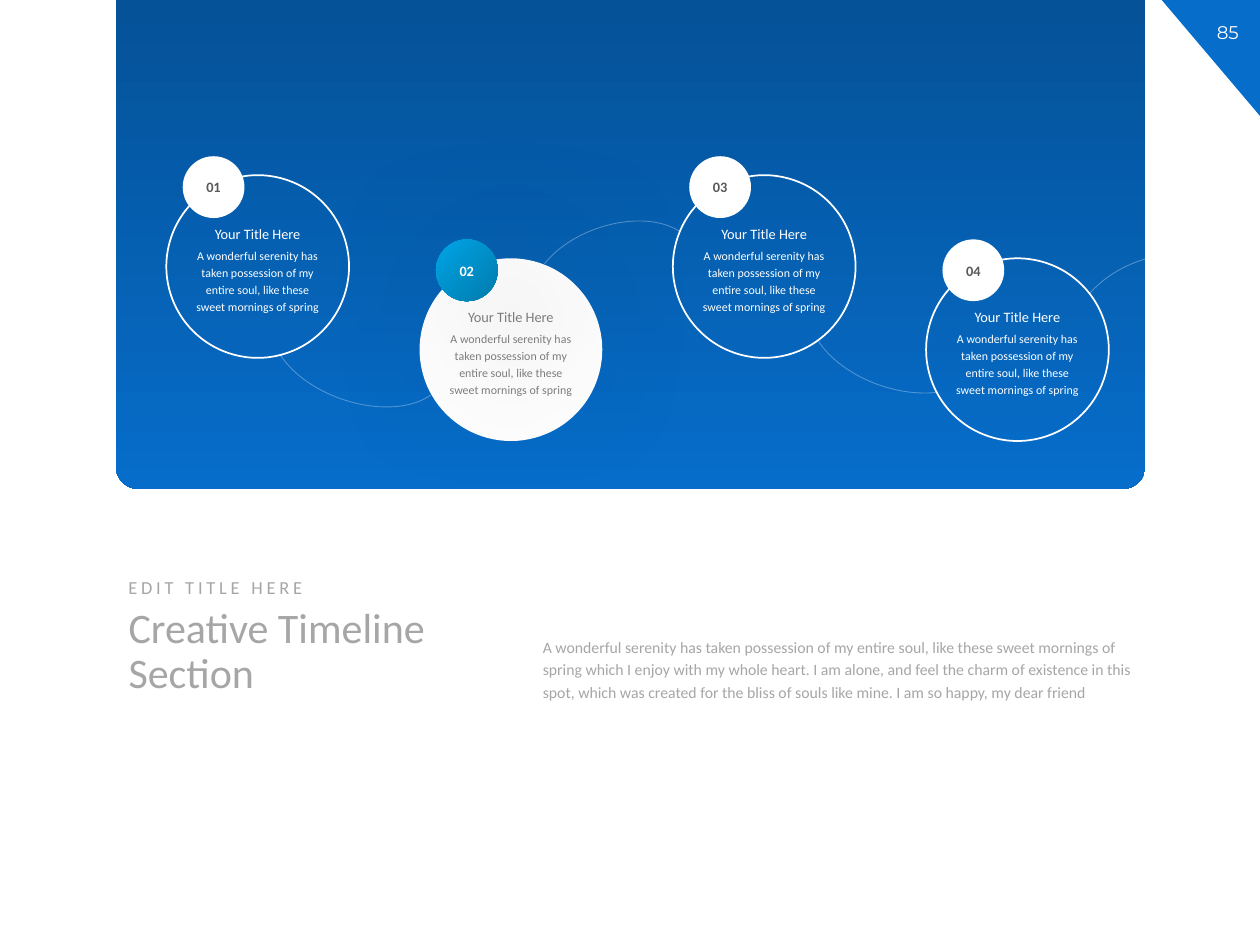
"""Build a timeline slide with four numbered circles above a title and summary."""
from lxml.etree import SubElement
from pptx import Presentation
from pptx.dml.color import RGBColor
from pptx.enum.shapes import MSO_SHAPE as Shape
from pptx.enum.text import MSO_ANCHOR as Anchor, MSO_AUTO_SIZE as AutoSize, PP_ALIGN as Align
from pptx.oxml import parse_xml
from pptx.oxml.ns import nsdecls, qn
from pptx.util import Inches, Pt


def write(box, text, size, color, align=Align.LEFT, spacing=1.0, anchor=Anchor.TOP, font="Calibri"):
    frame = box.text_frame
    frame.word_wrap = True
    frame.auto_size = AutoSize.NONE
    frame.vertical_anchor = anchor
    frame.text = text
    para = frame.paragraphs[0]
    para.alignment = align
    para.line_spacing = spacing
    span = para.runs[0]
    span.font.name = font
    span.font.size = Pt(size)
    span.font.color.rgb = RGBColor.from_string(color)
    return span


def draw(kind, place, fill=None, line=None, width=1, angle=0):
    shape = page.shapes.add_shape(kind, *map(Inches, place))
    shape.shadow.inherit = False
    if isinstance(fill, list):
        shape.fill.gradient()
        shape.fill.gradient_angle = angle
        for stop, (position, color) in zip(shape.fill.gradient_stops, fill):
            stop.position = position
            stop.color.rgb = RGBColor.from_string(color)
    elif fill:
        shape.fill.solid()
        shape.fill.fore_color.rgb = RGBColor.from_string(fill)
    else:
        shape.fill.background()
    if line:
        shape.line.color.rgb = RGBColor.from_string(line)
        shape.line.width = Pt(width)
    else:
        shape.line.fill.background()
    return shape


deck = Presentation()
deck.slide_width, deck.slide_height = Inches(10), Inches(7.5)
page = deck.slides.add_slide(deck.slide_layouts[5])

corner = draw(Shape.RIGHT_TRIANGLE, (9.22, 0, 0.78, 0.92), "066DCA")
corner.rotation = 180
number = page.shapes.add_textbox(*map(Inches, (9.49, 0.12, 0.51, 0.28)))
write(number, "85", 10.5, "FFFFFF", Align.CENTER, font="Montserrat")

panel = draw(Shape.ROUND_2_SAME_RECTANGLE, (0.92, 0, 8.17, 3.88),
             [(0.01, "055298"), (1, "066DCA")], angle=270)
panel.adjustments[0], panel.adjustments[1] = 0, 0.046

step_text = ("A wonderful serenity has taken possession of my entire soul, "
             "like these sweet mornings of spring")
for index in range(4):
    active = index == 1
    left = 1.32 + 2.01 * index
    top = 2.05 if index % 2 else 1.39
    color = "808080" if active else "FFFFFF"
    if active:
        draw(Shape.OVAL, (left, top, 1.45, 1.45), "FFFFFF")
    else:
        draw(Shape.OVAL, (left, top, 1.45, 1.45), line="FFFFFF")
    heading = page.shapes.add_textbox(*map(Inches, (left, top + 0.35, 1.45, 0.24)))
    write(heading, "Your Title Here", 8.2, color, Align.CENTER)
    body = page.shapes.add_textbox(*map(Inches, (left + 0.11, top + 0.51, 1.23, 0.65)))
    write(body, step_text, 6.8, color, Align.CENTER, 1.2)
    badge_fill = [(0.02, "00A4E6"), (1, "007BAC")] if active else "FFFFFF"
    badge = draw(Shape.OVAL, (left + 0.13, top - 0.15, 0.49, 0.49), badge_fill, angle=315)
    badge.text_frame.margin_left = badge.text_frame.margin_right = 0
    label = write(badge, f"{index + 1:02d}", 8.2, "FFFFFF" if active else "595959",
                  Align.CENTER, anchor=Anchor.MIDDLE)
    label.font.bold = True
    if active:
        effects = badge._element.spPr.find(qn("a:effectLst"))
        effects.append(parse_xml(
            f'<a:outerShdw {nsdecls("a")} blurRad="{Pt(100)}" dist="{Pt(35)}" dir="2700000" '
            'algn="tl" rotWithShape="0"><a:srgbClr val="000000"><a:alpha val="40000"/>'
            '</a:srgbClr></a:outerShdw>'))

arcs = [
    ((2.13, 2.32, 1.44, 0.87), 19.5, True, (123.32, 207.44)),
    ((4.2, 1.79, 1.35, 0.83), 340.6, False, (126.45, 206.55)),
    ((6.4, 2.21, 1.44, 0.87), 19.5, True, (123.32, 193.87)),
    ((8.47, 2.02, 1.69, 1.36), 348.8, False, (132.35, 199.67)),
]
for place, rotation, flipped, (start, end) in arcs:
    arc = draw(Shape.ARC, place, line="FFFFFF", width=0.5)
    arc.adjustments[0], arc.adjustments[1] = start, end
    arc.rotation = rotation
    if flipped:
        arc._element.spPr.find(qn("a:xfrm")).set("flipV", "1")
    line_color = arc._element.spPr.find(qn("a:ln")).find(".//" + qn("a:srgbClr"))
    SubElement(line_color, qn("a:alpha")).set("val", "30000")

title = page.shapes.title
title.left, title.top, title.width, title.height = map(Inches, (0.92, 4.77, 2.85, 0.91))
write(title, "Creative Timeline Section", 24, "A6A6A6", spacing=0.9)

kicker = page.shapes.add_textbox(*map(Inches, (0.92, 4.52, 1.83, 0.28)))
kicker_span = write(kicker, "EDIT TITLE HERE", 10.5, "A6A6A6")
kicker_span.font._element.set("spc", "220")

summary = page.shapes.add_textbox(*map(Inches, (4.21, 4.98, 4.87, 0.65)))
write(summary, "A wonderful serenity has taken possession of my entire soul, like these sweet "
      "mornings of spring which I enjoy with my whole heart. I am alone, and feel the charm of "
      "existence in this spot, which was created for the bliss of souls like mine. "
      "I am so happy, my dear friend", 9, "A6A6A6", spacing=1.2)

deck.save("out.pptx")
